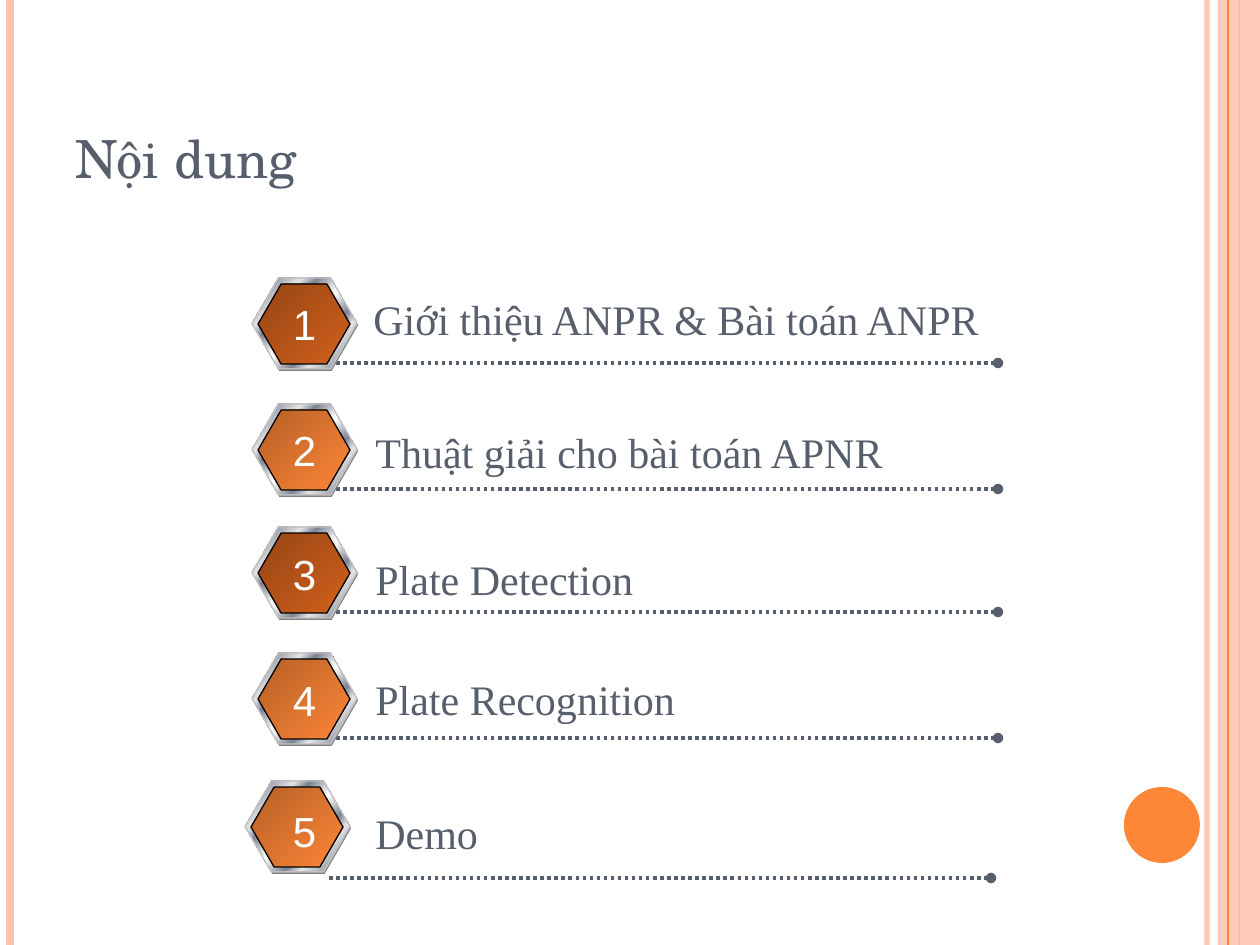
"""Build the contents slide with five numbered hexagon rows."""
import pptx
import pptx.dml.color
import pptx.enum.dml
import pptx.enum.shapes
import pptx.enum.text
import pptx.oxml
import pptx.oxml.ns
import pptx.util

RGB = pptx.dml.color.RGBColor
KIND = pptx.enum.shapes.MSO_SHAPE
ALIGN = pptx.enum.text.PP_ALIGN
ANCHOR = pptx.enum.text.MSO_ANCHOR
DASH = pptx.enum.dml.MSO_LINE
qn = pptx.oxml.ns.qn

PEACH = RGB(0xFE, 0xC3, 0xAE)
ORANGE = RGB(0xFE, 0x86, 0x37)
SLATE = RGB(0x57, 0x5F, 0x6D)
GRAY = RGB(0x80, 0x80, 0x80)
SILVER = RGB(0xC0, 0xC0, 0xC0)
LIGHT = RGB(0xE6, 0xE6, 0xE6)
STEEL = RGB(0x7D, 0x84, 0x96)
WHITE = RGB(0xFF, 0xFF, 0xFF)
BLACK = RGB(0, 0, 0)

CHROME = [(0, LIGHT), (8, STEEL), (26, LIGHT), (34, STEEL), (46, LIGHT),
          (50, WHITE), (54, LIGHT), (66, STEEL), (74, LIGHT), (93, STEEL),
          (100, LIGHT)]
DARK = [(0, RGB(0x96, 0x45, 0x14)), (100, RGB(0xD2, 0x61, 0x1C))]
BRIGHT = [(0, RGB(0xB6, 0x60, 0x27)), (100, ORANGE)]

ROWS = [
    ("Giới thiệu ANPR & Bài toán ANPR", DARK, 252, 278, 85, 14, (361, 287, 636, 115)),
    ("Thuật giải cho bài toán APNR", BRIGHT, 252, 404, 85, 14, (363, 420, 537, 63)),
    ("Plate Detection", DARK, 252, 527, 85, 15, (363, 547, 296, 63)),
    ("Plate Recognition", BRIGHT, 252, 653, 85, 15, (363, 667, 328, 63)),
    ("Demo", BRIGHT, 245, 781, 97, 18, (363, 801, 129, 63)),
]


def px(num):
    """Turn pixels into EMU."""
    return pptx.util.Emu(round(num * 914400 / 126))


def node(tag, **attrs):
    """Make a drawing element with attributes."""
    item = pptx.oxml.parse_xml(
        f'<a:{tag} xmlns:a="http://schemas.openxmlformats.org/drawingml/2006/main"/>')
    for key, val in attrs.items():
        item.set(key, str(val))
    return item


def fade(part, pct):
    """Set the opacity of the solid fill within an element."""
    color = next(part.iter(qn("a:srgbClr")))
    color.append(node("alpha", val=pct * 1000))


def blend(shape, stops):
    """Fill a shape with a diagonal gradient."""
    shape.fill.gradient()
    shape.fill.gradient_angle = 315
    chain = next(shape.element.spPr.iter(qn("a:gsLst")))
    for old in list(chain):
        chain.remove(old)
    for pos, color in stops:
        stop = node("gs", pos=pos * 1000)
        stop.append(node("srgbClr", val=color))
        chain.append(stop)


def block(shapes, kind, box, fill, edge=None):
    """Add a preset shape with a plain or gradient fill."""
    shape = shapes.add_shape(kind, *map(px, box))
    shape.shadow.inherit = False
    if isinstance(fill, list):
        blend(shape, fill)
    else:
        shape.fill.solid()
        shape.fill.fore_color.rgb = fill
    if edge is None:
        shape.line.fill.background()
    else:
        shape.line.color.rgb = edge
        shape.line.width = pptx.util.Pt(0.75)
    return shape


def rule(shapes, start, end, color, width):
    """Add a straight line without a shadow."""
    line = shapes.add_connector(
        pptx.enum.shapes.MSO_CONNECTOR.STRAIGHT, *map(px, start + end))
    line.line.color.rgb = color
    line.line.width = pptx.util.Pt(width)
    line._element.spPr.append(node("effectLst"))
    return line


def write(para, text, size, font, color):
    """Add a formatted run to a paragraph."""
    run = para.add_run()
    run.text = text
    run.font.size = pptx.util.Pt(size)
    run.font.name = font
    run.font.color.rgb = color


def label(shapes, box, text, font, color, align):
    """Add a single line of text."""
    frame = shapes.add_textbox(*map(px, box)).text_frame
    frame.word_wrap = False
    para = frame.paragraphs[0]
    para.alignment = align
    write(para, text, 24, font, color)


def badge(shapes, left, top, face):
    """Add a grouped hexagon with a metal rim."""
    group = shapes.add_group_shape().shapes
    for box, fill, edge in (
            ((left + 1, top + 2, 105, 91), GRAY, None),
            ((left, top, 105, 91), CHROME, SILVER),
            ((left + 6, top + 6, 92, 80), face, BLACK)):
        shape = block(group, KIND.HEXAGON, box, fill, edge)
        shape.adjustments[0] = 0.289


def row(shapes, num, text, face, left, top, drop, inset, box):
    """Add one contents row."""
    base = top + drop
    line = rule(shapes, (left + 84, base), (left + 746, base), SLATE, 2)
    line.line.dash_style = DASH.ROUND_DOT
    line.line._get_or_add_ln().append(node("tailEnd", type="oval"))
    badge(shapes, left, top, face)
    label(shapes, (280, top + inset, 49, 63), str(num), "Arial", WHITE, ALIGN.CENTER)
    label(shapes, box, text, "Times New Roman", SLATE, ALIGN.LEFT)


def frame(shapes):
    """Add the side stripes and the disc."""
    fade(rule(shapes, (1207, 0), (1207, 945), PEACH, 3)._element.spPr, 93)
    rule(shapes, (10, 0), (10, 945), PEACH, 4.5)
    rule(shapes, (1239, 0), (1239, 945), ORANGE, 1.5)
    fade(block(shapes, KIND.RECTANGLE, (1218, 0, 42, 945), PEACH).element.spPr, 87)
    rule(shapes, (1228, 0), (1228, 945), ORANGE, 0.75)
    block(shapes, KIND.OVAL, (1124, 787, 76, 76), ORANGE)


def head(title, text):
    """Place and format the title."""
    title.left, title.top, title.width, title.height = map(px, (63, 38, 1029, 157))
    title.text_frame.vertical_anchor = ANCHOR.BOTTOM
    para = title.text_frame.paragraphs[0]
    para.alignment = ALIGN.LEFT
    write(para, text, 30, "TeX Gyre Schola", SLATE)


def main():
    """Build and save the slide."""
    deck = pptx.Presentation()
    deck.slide_width, deck.slide_height = px(1260), px(945)
    slide = deck.slides.add_slide(deck.slide_layouts[5])
    frame(slide.shapes)
    head(slide.shapes.title, "Nội dung")
    for num, data in enumerate(ROWS, 1):
        row(slide.shapes, num, *data)
    deck.save("out.pptx")


if __name__ == "__main__":
    main()
